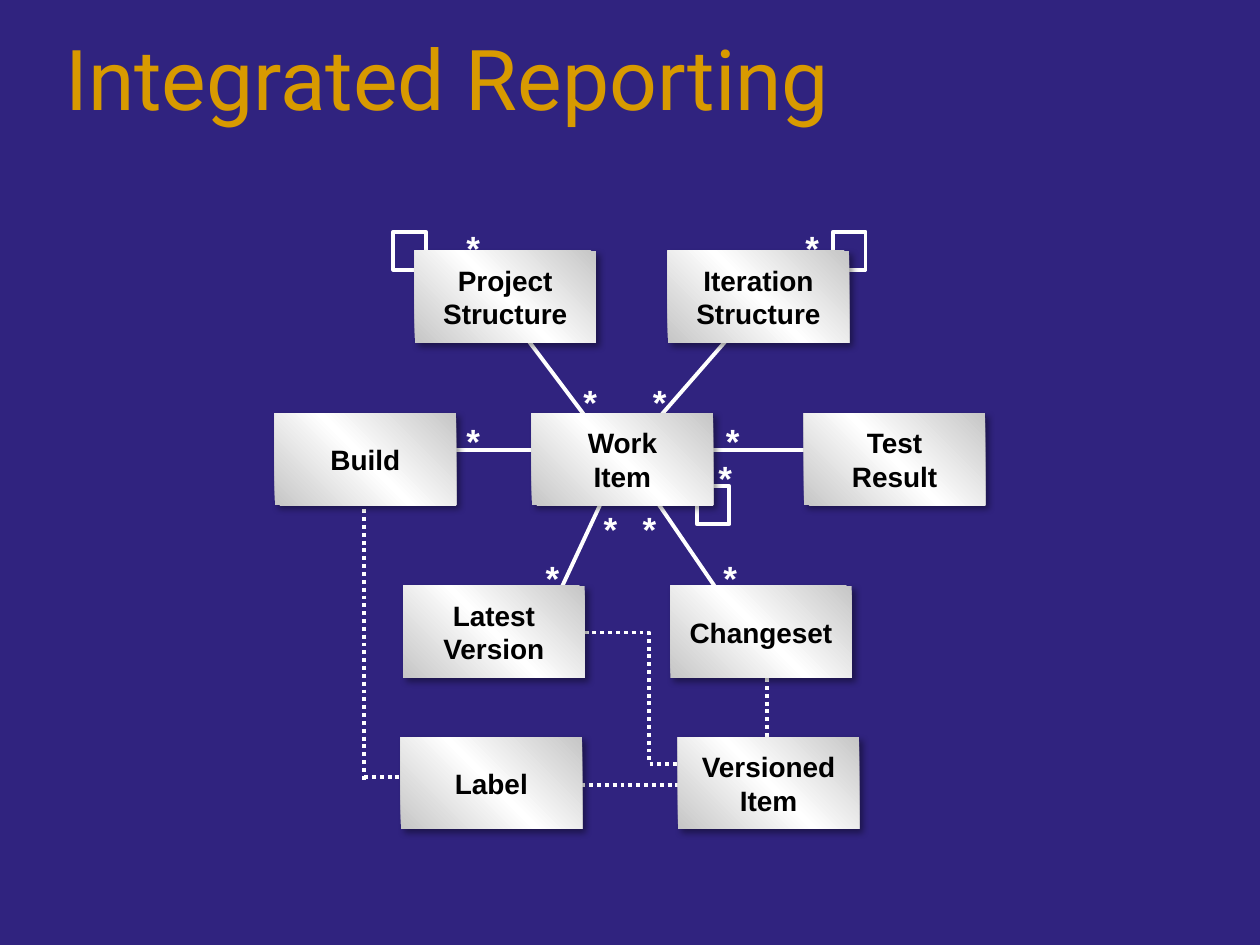
"""Build the Integrated Reporting entity diagram slide."""
from dataclasses import dataclass
from typing import NamedTuple

from pptx import Presentation
from pptx import util as u
from pptx.dml.color import RGBColor
from pptx.enum import dml, shapes, text
from pptx.oxml import parse_xml
from pptx.oxml.ns import nsdecls, qn


@dataclass(frozen=True)
class Theme:
    background: str = "30237F"
    title: str = "D89A00"
    link: str = "FFFFFF"
    label: str = "000000"
    edge: str = "C6C6C6"
    shine: str = "FFFFFF"
    shadow: str = "000000"
    title_font: str = "Roboto"
    body_font: str = "Arial"
    title_size: float = 48
    label_size: float = 16
    star_size: float = 20
    link_width: float = 2.25


class Entity(NamedTuple):
    label: str
    left: float
    top: float


class Link(NamedTuple):
    x1: float
    y1: float
    x2: float
    y2: float
    dotted: bool = False
    elbow: bool = False


THEME = Theme()
ENTITY_WIDTH, ENTITY_HEIGHT = 1.44, 0.73
LOOP_WIDTH, LOOP_HEIGHT = 0.26, 0.3
STAR_WIDTH, STAR_HEIGHT = 0.31, 0.43

WORK_LINKS = [
    Link(3.98, 2.42, 4.92, 3.67),
    Link(6.01, 2.42, 4.92, 3.67),
    Link(3.5, 3.57, 4.72, 3.57),
    Link(5.52, 3.57, 6.96, 3.57),
    Link(4.92, 3.67, 4.3, 5),
    Link(5, 3.67, 5.91, 5),
]
VERSION_LINKS = [
    Link(2.89, 3.98, 2.89, 6.21, dotted=True),
    Link(4.49, 6.23, 5.93, 6.23, dotted=True),
    Link(6.09, 5.32, 6.09, 6.07, dotted=True),
    Link(2.89, 6.17, 4.49, 6.17, dotted=True),
    Link(4.64, 5.02, 5.66, 6.06, dotted=True, elbow=True),
]
SELF_LOOPS = [(5.53, 3.86), (3.12, 1.84), (6.61, 1.84)]
STAR_ROWS = {
    1.75: (3.6, 6.29),
    2.97: (4.53, 5.08),
    3.28: (3.6, 4.23, 5.66, 6.29),
    3.57: (5.6,),
    3.98: (4.69, 5),
    4.37: (4.23, 5.64),
}
WORK_ENTITIES = [
    Entity("Project\nStructure", 3.29, 1.99),
    Entity("Iteration\nStructure", 5.3, 1.99),
    Entity("Work\nItem", 4.22, 3.28),
]
VERSION_ENTITIES = [
    Entity("Label", 3.18, 5.85),
    Entity("Versioned\nItem", 5.38, 5.85),
    Entity("Latest\nVersion", 3.2, 4.65),
    Entity("Changeset", 5.32, 4.65),
    Entity("Build", 2.18, 3.28),
    Entity("Test\nResult", 6.38, 3.28),
]


def write(frame, words: str, font: str, size: float, color: str,
          bold: bool = True, align=text.PP_ALIGN.CENTER) -> None:
    """Fill a text frame and format each paragraph."""
    frame.text = words
    for paragraph in frame.paragraphs:
        paragraph.alignment = align
        for run in paragraph.runs:
            run.font.name = font
            run.font.size = u.Pt(size)
            run.font.bold = bold
            run.font.color.rgb = RGBColor.from_string(color)


def draw_title(slide, words: str) -> None:
    """Place the slide title."""
    title = slide.shapes.add_textbox(
        u.Inches(0.42), u.Inches(0.25), u.Inches(9.17), u.Inches(0.82))
    title.text_frame.word_wrap = True
    write(title.text_frame, words, THEME.title_font, THEME.title_size,
          THEME.title, bold=False, align=text.PP_ALIGN.LEFT)
    title.text_frame.paragraphs[0].line_spacing = 0.9


def style_line(line) -> None:
    """Give a line the link colour and width."""
    line.color.rgb = RGBColor.from_string(THEME.link)
    line.width = u.Pt(THEME.link_width)


def draw_link(slide, link: Link) -> None:
    """Draw one relation between entities."""
    kind = shapes.MSO_CONNECTOR.ELBOW if link.elbow else shapes.MSO_CONNECTOR.STRAIGHT
    relation = slide.shapes.add_connector(
        kind, u.Inches(link.x1), u.Inches(link.y1),
        u.Inches(link.x2), u.Inches(link.y2))
    style_line(relation.line)
    if link.dotted:
        relation.line.dash_style = dml.MSO_LINE.ROUND_DOT
    relation._element.spPr.append(parse_xml(f"<a:effectLst {nsdecls('a')}/>"))


def add_rectangle(slide, left: float, top: float, width: float, height: float):
    """Add a rectangle without shadow."""
    rectangle = slide.shapes.add_shape(
        shapes.MSO_SHAPE.RECTANGLE, u.Inches(left), u.Inches(top),
        u.Inches(width), u.Inches(height))
    rectangle.shadow.inherit = False
    return rectangle


def draw_self_loop(slide, left: float, top: float) -> None:
    """Draw the hollow square of a self relation."""
    loop = add_rectangle(slide, left, top, LOOP_WIDTH, LOOP_HEIGHT)
    loop.fill.background()
    style_line(loop.line)


def draw_star(slide, left: float, top: float) -> None:
    """Draw a many marker."""
    star = slide.shapes.add_textbox(
        u.Inches(left), u.Inches(top), u.Inches(STAR_WIDTH), u.Inches(STAR_HEIGHT))
    star.text_frame.word_wrap = False
    write(star.text_frame, "*", THEME.body_font, THEME.star_size, THEME.link)


def draw_entity(slide, entity: Entity) -> None:
    """Draw a shiny labelled box with a soft shadow."""
    box = add_rectangle(slide, entity.left, entity.top, ENTITY_WIDTH, ENTITY_HEIGHT)
    box.line.fill.background()
    stops = "".join(
        f'<a:gs pos="{position}"><a:srgbClr val="{color}"/></a:gs>'
        for position, color in ((0, THEME.edge), (50000, THEME.shine), (100000, THEME.edge)))
    properties = box._element.spPr
    properties.find(qn("a:ln")).addprevious(parse_xml(
        f'<a:gradFill {nsdecls("a")} rotWithShape="1"><a:gsLst>{stops}</a:gsLst>'
        '<a:lin ang="8100000" scaled="1"/></a:gradFill>'))
    properties.find(qn("a:effectLst")).append(parse_xml(
        f'<a:outerShdw {nsdecls("a")} blurRad="{u.Pt(4)}" dist="{u.Pt(3)}" dir="2700000">'
        f'<a:srgbClr val="{THEME.shadow}"><a:alpha val="40000"/></a:srgbClr></a:outerShdw>'))
    box.text_frame.word_wrap = False
    box.text_frame.vertical_anchor = text.MSO_ANCHOR.MIDDLE
    write(box.text_frame, entity.label, THEME.body_font, THEME.label_size, THEME.label)


def main() -> None:
    """Assemble and save the slide."""
    deck = Presentation()
    deck.slide_width, deck.slide_height = u.Inches(10), u.Inches(7.5)
    slide = deck.slides.add_slide(deck.slide_layouts[6])
    slide.background.fill.solid()
    slide.background.fill.fore_color.rgb = RGBColor.from_string(THEME.background)

    draw_title(slide, "Integrated Reporting")
    for link in WORK_LINKS:
        draw_link(slide, link)
    for left, top in SELF_LOOPS:
        draw_self_loop(slide, left, top)
    for top, lefts in STAR_ROWS.items():
        for left in lefts:
            draw_star(slide, left, top)
    for entity in WORK_ENTITIES:
        draw_entity(slide, entity)
    for link in VERSION_LINKS:
        draw_link(slide, link)
    for entity in VERSION_ENTITIES:
        draw_entity(slide, entity)
    deck.save("out.pptx")


if __name__ == "__main__":
    main()
